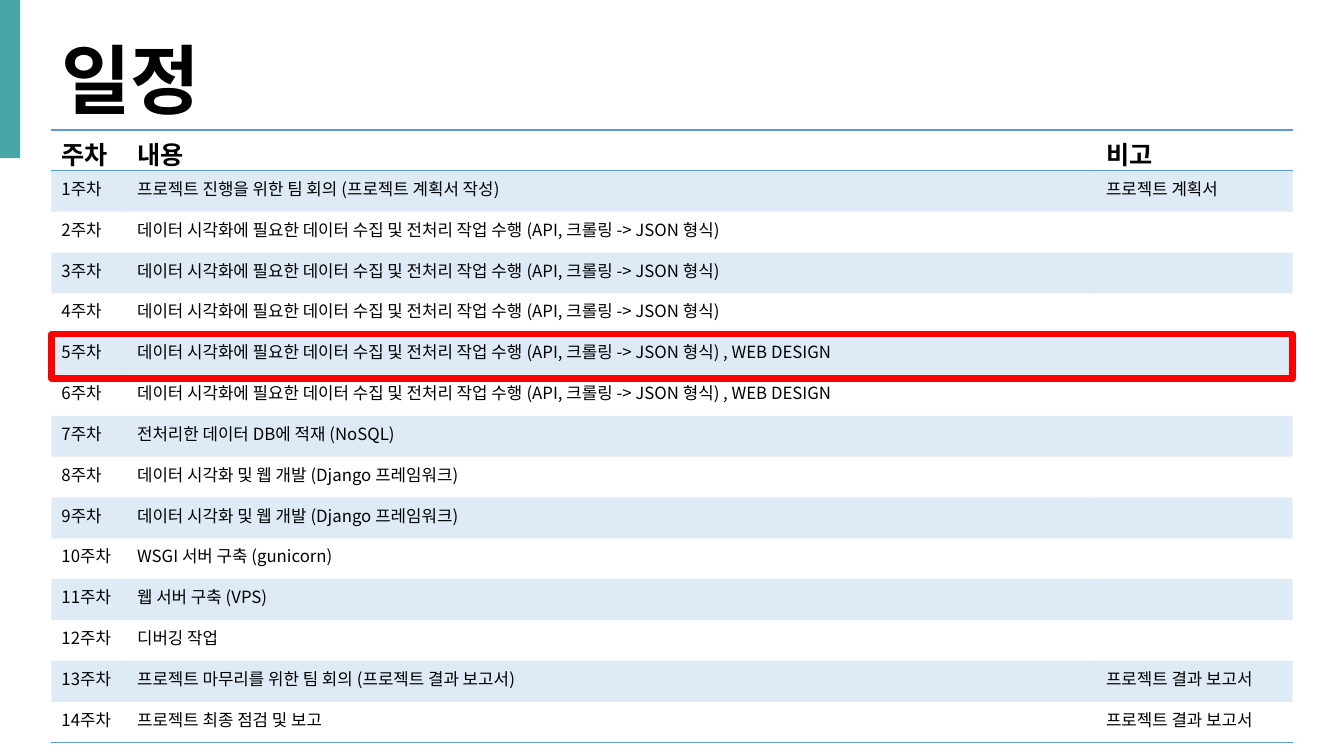
from lxml.etree import SubElement
from pptx import Presentation
from pptx.dml.color import RGBColor
from pptx.enum.shapes import MSO_SHAPE as SHAPE
from pptx.oxml.ns import qn
from pptx.util import Inches, Pt

FONT = "Noto Sans CJK KR"
BLACK = RGBColor(0x00, 0x00, 0x00)
TEAL = RGBColor(0x49, 0xA6, 0xA6)
BLUE = RGBColor(0x5B, 0x9B, 0xD5)
RED = RGBColor(0xFF, 0x00, 0x00)
PLAIN_TABLE = "{2D5ABB26-0587-4C30-8999-92F81FD0307C}"

# Grid of the schedule, in inches
LEFT, TOP = 0.51, 1.29
COLS = (0.75, 9.61, 1.95)
WIDTH = sum(COLS)
ROW_H = 6.08 / 15
CURRENT_WEEK = 5

COLLECT = "데이터 시각화에 필요한 데이터 수집 및 전처리 작업 수행 (API, 크롤링 -> JSON 형식)"
COLLECT_DESIGN = COLLECT + " , WEB DESIGN"
VISUALIZE = "데이터 시각화 및 웹 개발 (Django 프레임워크)"
REPORT = "프로젝트 결과 보고서"
HEADER = ("주차", "내용", "비고")
WEEKS = [
    ("프로젝트 진행을 위한 팀 회의 (프로젝트 계획서 작성)", "프로젝트 계획서"),
    (COLLECT, ""),
    (COLLECT, ""),
    (COLLECT, ""),
    (COLLECT_DESIGN, ""),
    (COLLECT_DESIGN, ""),
    ("전처리한 데이터 DB에 적재 (NoSQL)", ""),
    (VISUALIZE, ""),
    (VISUALIZE, ""),
    ("WSGI 서버 구축 (gunicorn)", ""),
    ("웹 서버 구축 (VPS)", ""),
    ("디버깅 작업", ""),
    ("프로젝트 마무리를 위한 팀 회의 (프로젝트 결과 보고서)", REPORT),
    ("프로젝트 최종 점검 및 보고", REPORT),
]


def add_text(tf, text, size=12, bold=False, color=BLACK):
    p = tf.paragraphs[0]
    p.font.size = Pt(size)
    if not text:
        # An empty cell keeps the small size so its row does not grow
        end = SubElement(p._p, qn("a:endParaRPr"))
        end.set("sz", str(size * 100))
        return
    r = p.add_run()
    r.text = text
    r.font.size, r.font.bold, r.font.name = Pt(size), bold, FONT
    r.font.color.rgb = color
    SubElement(r._r.get_or_add_rPr(), qn("a:ea")).set("typeface", FONT)


def add_rect(slide, x, y, w, h, fill=None, line=None, weight=1):
    sp = slide.shapes.add_shape(SHAPE.RECTANGLE, Inches(x), Inches(y), Inches(w), Inches(h))
    sp.shadow.inherit = False
    if fill is None:
        sp.fill.background()
    else:
        sp.fill.solid()
        sp.fill.fore_color.rgb = fill
    if line is None:
        sp.line.fill.background()
    else:
        sp.line.color.rgb = line
        sp.line.width = Pt(weight)


def add_title(slide, text):
    box = slide.shapes.add_textbox(Inches(LEFT), Inches(0.28), Inches(1.72), Inches(1.01))
    box.text_frame.word_wrap = False
    add_text(box.text_frame, text, size=54, bold=True)


def set_border(cell, side, color=BLUE):
    ln = SubElement(cell._tc.get_or_add_tcPr(), qn(f"a:ln{side}"), w=str(Pt(1)))
    fill = SubElement(ln, qn("a:solidFill"))
    SubElement(fill, qn("a:srgbClr"), val=str(color))


def set_band(cell, banded):
    if not banded:
        cell.fill.background()
        return
    cell.fill.solid()
    cell.fill.fore_color.rgb = BLUE
    clr = cell._tc.tcPr.find(f".//{qn('a:solidFill')}/{qn('a:srgbClr')}")
    SubElement(clr, qn("a:alpha"), val="20000")


def add_schedule(slide, rows):
    frame = slide.shapes.add_table(len(rows), len(COLS), Inches(LEFT), Inches(TOP),
                                   Inches(WIDTH), Inches(ROW_H * len(rows)))
    table = frame.table
    table.first_row = table.horz_banding = False
    table._tbl.tblPr.find(qn("a:tableStyleId")).text = PLAIN_TABLE
    for col, width in zip(table.columns, COLS):
        col.width = Inches(width)
    last = len(rows) - 1
    for i, texts in enumerate(rows):
        table.rows[i].height = Inches(ROW_H)
        header = i == 0
        for cell, text in zip(table.rows[i].cells, texts):
            add_text(cell.text_frame, text, size=18 if header else 12, bold=header)
            # Borders precede the fill in the cell properties
            if header:
                cell.margin_bottom = 0
                set_border(cell, "T")
            if i in (0, last):
                set_border(cell, "B")
            set_band(cell, banded=i % 2 == 1)


def main():
    prs = Presentation()
    prs.slide_width, prs.slide_height = Inches(13.33), Inches(7.5)
    slide = prs.slides.add_slide(prs.slide_layouts[6])

    # Accent bar and title
    add_rect(slide, 0, 0, 0.2, 1.57, fill=TEAL)
    add_title(slide, "일정")

    # Weekly schedule
    weeks = [(f"{n}주차", *week) for n, week in enumerate(WEEKS, 1)]
    add_schedule(slide, [HEADER, *weeks])

    # Frame around the current week
    add_rect(slide, LEFT, TOP + CURRENT_WEEK * ROW_H, WIDTH, 0.44, line=RED, weight=4.5)

    prs.save("out.pptx")


if __name__ == "__main__":
    main()
